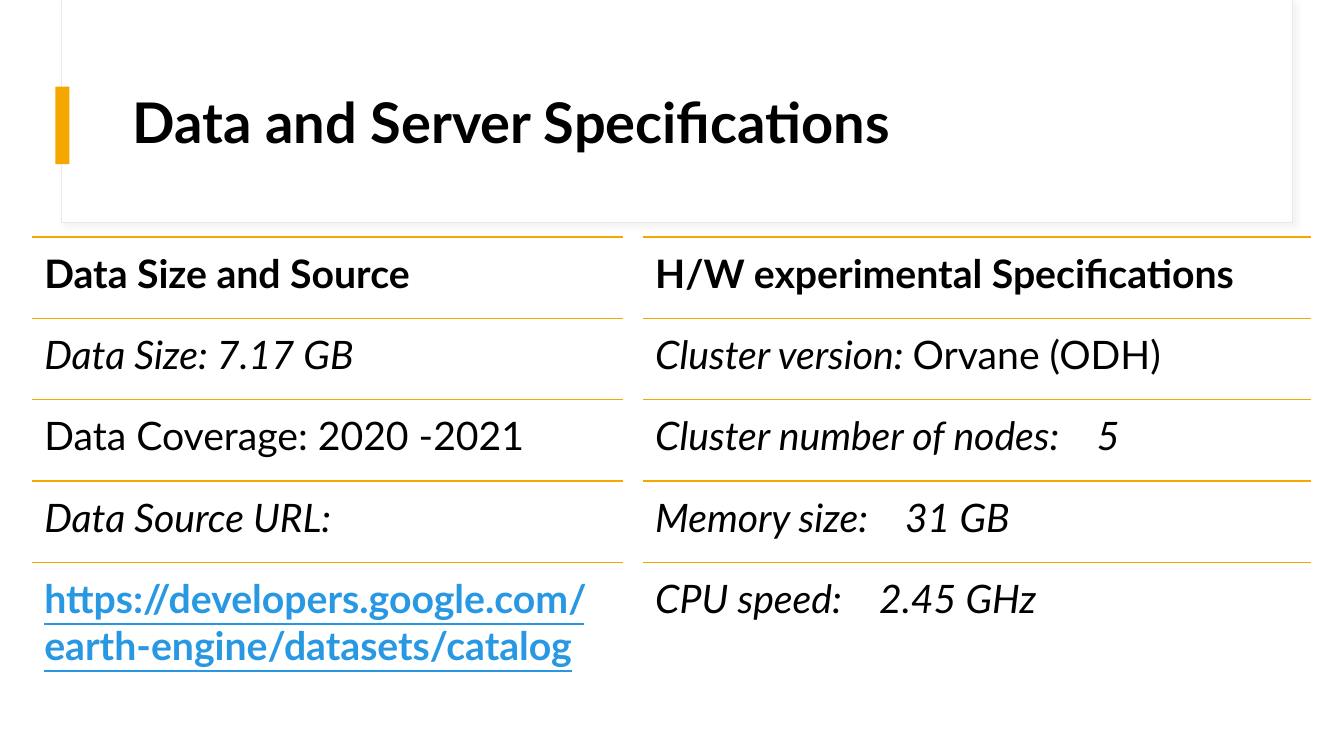
from dataclasses import dataclass, field

import pptx
import pptx.dml.color
import pptx.enum.shapes
import pptx.enum.text
import pptx.oxml
import pptx.oxml.ns
import pptx.util
from lxml import etree

Pt = pptx.util.Pt
RGBColor = pptx.dml.color.RGBColor
WHITE = RGBColor(0xFF, 0xFF, 0xFF)
BLACK = RGBColor(0, 0, 0)
AMBER = RGBColor(0xF5, 0xA7, 0x00)
BORDER = RGBColor(0xE9, 0xE9, 0xE9)
LINK = RGBColor(0x29, 0x98, 0xE3)

ROW_TOP = 169.2
ROW_HEIGHT = 58.14
CELL_INSET = 8.64
HEADER_SHADOW = (
    f'<a:effectLst {pptx.oxml.ns.nsdecls("a")}>'
    '<a:outerShdw blurRad="50800" dist="38100" dir="2700000" algn="tl" rotWithShape="0">'
    '<a:srgbClr val="D9D9D9"><a:alpha val="30000"/></a:srgbClr>'
    '</a:outerShdw></a:effectLst>'
)

BOLD = {"bold": True}
ITALIC = {"italic": True}


@dataclass
class Run:
    text: str
    style: dict = field(default_factory=dict)
    color: RGBColor = BLACK


@dataclass
class Row:
    runs: list[Run]
    tab: float | None = None


@dataclass
class Column:
    left: float
    width: float
    rows: list[Row]


@dataclass
class Panel:
    left: float
    top: float
    width: float
    height: float
    fill: RGBColor
    border: RGBColor | None = None


PANELS = [
    Panel(43.92, 0, 879.12, 159.12, WHITE, BORDER),
    Panel(44.64, 0, 878.4, 158.4, WHITE),
    Panel(39.6, 61.92, 10.08, 55.44, AMBER),
]

COLUMNS = [
    Column(23.04, 421.92, [
        Row([Run("Data Size and Source", BOLD)]),
        Row([Run("Data Size: 7.17 GB", ITALIC)]),
        Row([Run("Data Coverage: 2020 -2021")]),
        Row([Run("Data Source URL:", ITALIC)]),
        Row([Run("https://developers.google.com/earth-engine/datasets/catalog",
                 {"bold": True, "underline": True}, LINK)]),
    ]),
    Column(459.36, 477.36, [
        Row([Run("H/W experimental Specifications", BOLD)]),
        Row([Run("Cluster version: ", ITALIC), Run("Orvane (ODH)")]),
        Row([Run("Cluster number of nodes:\t5", ITALIC)], 315.5),
        Row([Run("Memory size:\t31 GB", ITALIC)], 178.5),
        Row([Run("CPU speed:\t2.45 GHz", ITALIC)], 160),
    ]),
]


def add_panel(shapes, panel: Panel) -> None:
    sp = shapes.add_shape(
        pptx.enum.shapes.MSO_SHAPE.RECTANGLE,
        Pt(panel.left), Pt(panel.top), Pt(panel.width), Pt(panel.height))
    sp.fill.solid()
    sp.fill.fore_color.rgb = panel.fill
    if panel.border is None:
        sp.shadow.inherit = False
        sp.line.fill.background()
    else:
        sp.line.color.rgb = panel.border
        sp.line.width = Pt(0.75)
        sp._element.spPr.append(pptx.oxml.parse_xml(HEADER_SHADOW))


def add_run(p, run: Run, size: float) -> None:
    r = p.add_run()
    r.text = run.text
    r.font.color.rgb = run.color
    formats = {"name": "Lato", "size": Pt(size), **run.style}
    for name, value in formats.items():
        setattr(r.font, name, value)


def add_rule(shapes, left: float, top: float, width: float) -> None:
    line = shapes.add_connector(
        pptx.enum.shapes.MSO_CONNECTOR.STRAIGHT,
        Pt(left), Pt(top), Pt(left + width), Pt(top))
    line.line.color.rgb = AMBER
    line.line.width = Pt(1)
    etree.SubElement(line._element.spPr, pptx.oxml.ns.qn("a:effectLst"))


def add_tab(p, position: float) -> None:
    tabs = etree.SubElement(p._p.get_or_add_pPr(), pptx.oxml.ns.qn("a:tabLst"))
    etree.SubElement(tabs, pptx.oxml.ns.qn("a:tab"),
                     pos=str(int(Pt(position))), algn="l")


def add_row(shapes, column: Column, row: Row, top: float) -> None:
    add_rule(shapes, column.left, top, column.width)
    tf = shapes.add_textbox(
        Pt(column.left), Pt(top), Pt(column.width), Pt(ROW_HEIGHT)).text_frame
    tf.word_wrap = True
    for side in ("left", "top", "right", "bottom"):
        setattr(tf, f"margin_{side}", Pt(CELL_INSET))
    p = tf.paragraphs[0]
    if row.tab is not None:
        add_tab(p, row.tab)
    for run in row.runs:
        add_run(p, run, 28)


def add_title(shapes, title: str) -> None:
    tf = shapes.add_textbox(Pt(87.84), Pt(43.2), Pt(800.64), Pt(92.88)).text_frame
    tf.word_wrap = True
    tf.vertical_anchor = pptx.enum.text.MSO_ANCHOR.MIDDLE
    p = tf.paragraphs[0]
    p.line_spacing = 0.9
    add_run(p, Run(title, BOLD), 40)


def main() -> None:
    prs = pptx.Presentation()
    prs.slide_width, prs.slide_height = Pt(960), Pt(540)
    s = prs.slides.add_slide(prs.slide_layouts[6])
    for panel in PANELS:
        add_panel(s.shapes, panel)
    add_title(s.shapes, "Data and Server Specifications")
    for column in COLUMNS:
        group = s.shapes.add_group_shape()
        for i, row in enumerate(column.rows):
            add_row(group.shapes, column, row, ROW_TOP + i * ROW_HEIGHT)
    prs.save("out.pptx")


if __name__ == "__main__":
    main()
